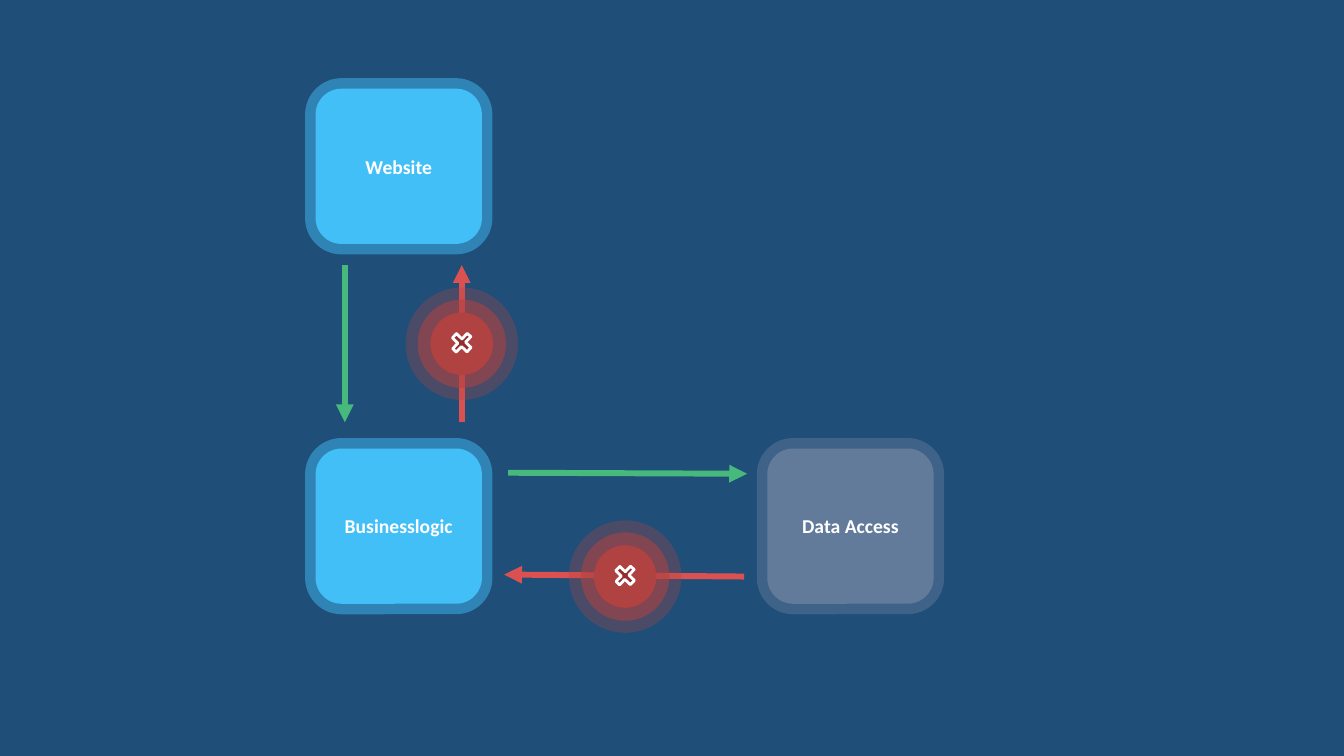
from dataclasses import dataclass
from lxml.etree import SubElement
from pptx import Presentation
from pptx.dml.color import RGBColor
from pptx.enum.shapes import MSO_CONNECTOR as Connector, MSO_SHAPE as Preset
from pptx.enum.text import MSO_ANCHOR as Anchor, PP_ALIGN as Align
from pptx.oxml.ns import qn
from pptx.util import Inches, Pt


@dataclass(frozen=True)
class Theme:
    background: str = "1F4E79"
    active: str = "43BFF7"
    muted: str = "637B9B"
    allowed: str = "47B97D"
    forbidden: str = "DB5151"
    badge: str = "B04242"
    cross: str = "922E2E"
    white: str = "FFFFFF"
    font: str = "Calibri"
    label_size: float = 14
    layer_border: float = 15
    arrow_width: float = 4.25
    inner_halo: float = 18.5
    outer_halo: float = 35.75
    cross_border: float = 2


THEME = Theme()
LEFT_COLUMN, RIGHT_COLUMN = 3.13, 7.61
TOP_ROW, BOTTOM_ROW = 0.88, 4.45
LAYER_SIZE = (1.65, 1.54)
LAYERS = [
    ("Data Access", RIGHT_COLUMN, BOTTOM_ROW, THEME.muted, 46),
    ("Website", LEFT_COLUMN, TOP_ROW, THEME.active, 48),
    ("Businesslogic", LEFT_COLUMN, BOTTOM_ROW, THEME.active, 48),
]
CALLS = [
    ((4.58, 4.19), (4.58, 2.63), THEME.forbidden),
    ((3.42, 2.63), (3.42, 4.19), THEME.allowed),
    ((5.04, 4.69), (7.41, 4.7), THEME.allowed),
    ((7.38, 5.72), (5, 5.7), THEME.forbidden),
]
BADGE_CENTERS = [(4.58, 3.41), (6.2, 5.72)]
BADGE_SIZE = (0.62, 0.62)
CROSS_SIZE = (0.21, 0.2)
CROSS_LIFT = 0.01
CROSS_ROTATION = 313.5
CROSS_NOTCH = 0.379


def rgb(color):
    return RGBColor.from_string(color)


def set_line(line, color, width):
    line.color.rgb = rgb(color)
    line.width = Pt(width)


def add_outlined(shapes, preset, corner, size, fill, border, width, opacity=100):
    shape = shapes.add_shape(preset, *map(Inches, corner + size))
    shape.shadow.inherit = False
    if fill:
        shape.fill.solid()
        shape.fill.fore_color.rgb = rgb(fill)
    else:
        shape.fill.background()
    set_line(shape.line, border, width)
    if opacity < 100:
        border_color = shape.element.spPr.find(".//" + qn("a:ln")).find(".//" + qn("a:srgbClr"))
        SubElement(border_color, qn("a:alpha"), val=str(opacity * 1000))
    return shape


def add_layer(slide, label, left, top, color, opacity):
    layer = add_outlined(slide.shapes, Preset.ROUNDED_RECTANGLE, (left, top), LAYER_SIZE,
                         color, color, THEME.layer_border, opacity)
    frame = layer.text_frame
    frame.word_wrap = True
    frame.vertical_anchor = Anchor.MIDDLE
    paragraph = frame.paragraphs[0]
    paragraph.text = label
    paragraph.alignment = Align.CENTER
    paragraph.font.name = THEME.font
    paragraph.font.size = Pt(THEME.label_size)
    paragraph.font.bold = True
    paragraph.font.color.rgb = rgb(THEME.white)


def add_call(slide, start, end, color):
    arrow = slide.shapes.add_connector(Connector.STRAIGHT, *map(Inches, start + end))
    set_line(arrow.line, color, THEME.arrow_width)
    properties = arrow.element.spPr
    SubElement(properties.find(qn("a:ln")), qn("a:tailEnd"), type="triangle")
    SubElement(properties, qn("a:effectLst"))


def add_badge(slide, x, y):
    badge = slide.shapes.add_group_shape().shapes
    corner = (x - BADGE_SIZE[0] / 2, y - BADGE_SIZE[1] / 2)
    halos = [(THEME.badge, THEME.inner_halo, 54), (None, THEME.outer_halo, 31)]
    for fill, width, opacity in halos:
        add_outlined(badge, Preset.OVAL, corner, BADGE_SIZE, fill, THEME.badge, width, opacity)
    cross_corner = (x - CROSS_SIZE[0] / 2, y - CROSS_SIZE[1] / 2 - CROSS_LIFT)
    cross = add_outlined(badge, Preset.CROSS, cross_corner, CROSS_SIZE,
                         THEME.cross, THEME.white, THEME.cross_border)
    cross.adjustments[0] = CROSS_NOTCH
    cross.rotation = CROSS_ROTATION


def main():
    deck = Presentation()
    deck.slide_width, deck.slide_height = Inches(13.33), Inches(7.5)
    slide = deck.slides.add_slide(deck.slide_layouts[6])
    slide.background.fill.solid()
    slide.background.fill.fore_color.rgb = rgb(THEME.background)
    for layer in LAYERS:
        add_layer(slide, *layer)
    for call in CALLS:
        add_call(slide, *call)
    for center in BADGE_CENTERS:
        add_badge(slide, *center)
    deck.save("out.pptx")


if __name__ == "__main__":
    main()
